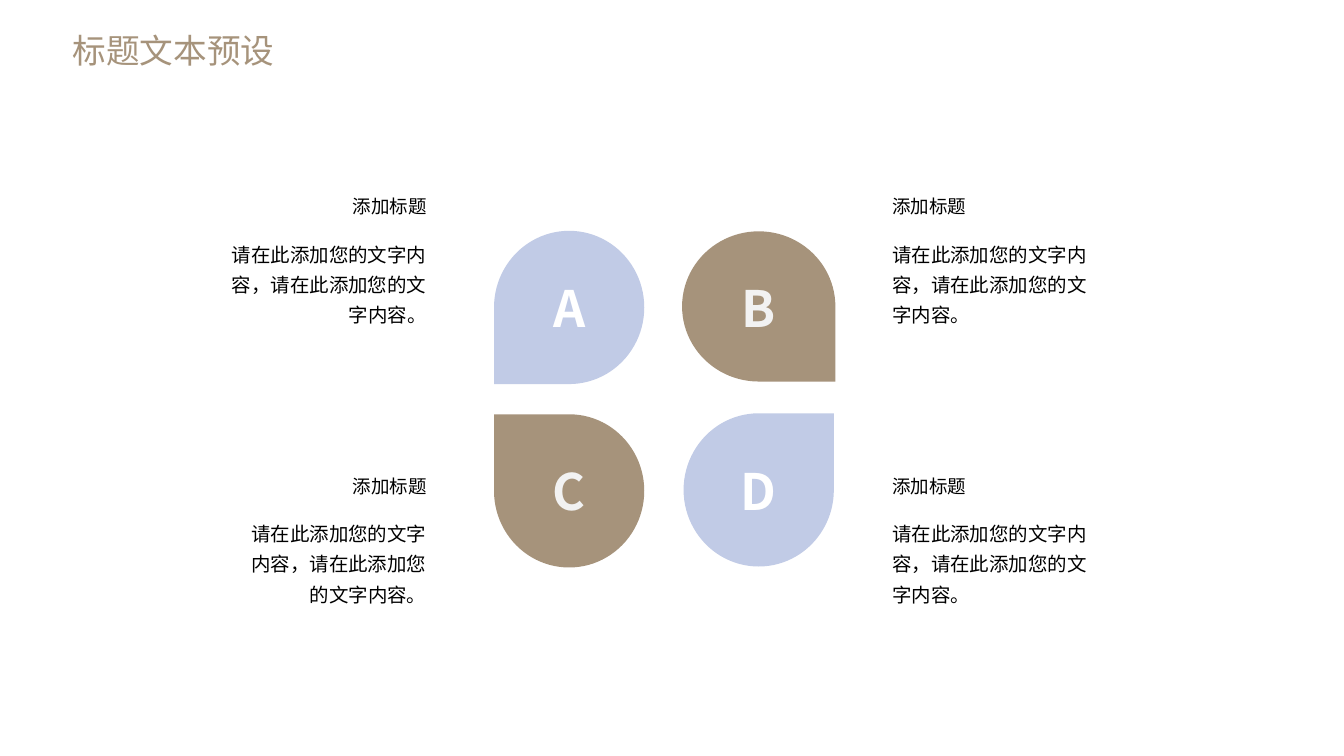
"""Build a slide with four lettered teardrops and a caption beside each."""
from lxml import etree
from pptx import Presentation
from pptx.dml.color import RGBColor
from pptx.enum.shapes import MSO_SHAPE
from pptx.enum.text import MSO_ANCHOR, MSO_AUTO_SIZE, PP_ALIGN
from pptx.oxml.ns import qn
from pptx.util import Inches, Pt

TEARDROP, RECTANGLE = MSO_SHAPE.TEAR, MSO_SHAPE.RECTANGLE
LEFT, CENTER, RIGHT = PP_ALIGN.LEFT, PP_ALIGN.CENTER, PP_ALIGN.RIGHT
TOP = MSO_ANCHOR.TOP
GROW = MSO_AUTO_SIZE.SHAPE_TO_FIT_TEXT

BROWN = RGBColor(0xA6, 0x93, 0x7B)
BLUE = RGBColor(0xC1, 0xCB, 0xE6)
WHITE = RGBColor(0xFF, 0xFF, 0xFF)
PALE = RGBColor(0xF2, 0xF2, 0xF2)
BLACK = RGBColor(0, 0, 0)
FONT = "Noto Sans CJK SC"

DROP_WIDTH, DROP_HEIGHT = 1.49, 1.52
DROP_CORNERS = ((4.9, 2.29), (6.78, 2.28))
DROP_PITCH = 1.82
LETTER_TOP, LETTER_HEIGHT = 2.7, 0.7
CAPTION_EDGES = (4.33, 8.75)
CAPTION_PITCH = 2.77
HEADING_TOP, HEADING_WIDTH, HEADING_HEIGHT = 1.89, 1.2, 0.32
BODY_TOP, BODY_HEIGHT = 2.29, 1.02

HEADING = "添加标题"
BODY = "请在此添加您的文字内容，请在此添加您的文字内容。"

# letter, column, row, fill, letter colour, letter width, turn, flips, body width
PETALS = (
    ("A", 0, 0, BLUE, WHITE, 0.61, 0, ("flipH", "flipV"), 2.19),
    ("B", 1, 0, BROWN, PALE, 0.86, 90, (), 2.17),
    ("C", 0, 1, BROWN, PALE, 0.79, 0, ("flipH",), 2.06),
    ("D", 1, 1, BLUE, WHITE, 0.57, 0, (), 2.29),
)


def add_filled(slide, kind, box, color):
    """Add a flat preset shape without outline."""
    shape = slide.shapes.add_shape(kind, *map(Inches, box))
    shape.shadow.inherit = False
    shape.fill.solid()
    shape.fill.fore_color.rgb = color
    shape.line.fill.background()
    return shape


def add_drop(slide, box, color, turn, flips):
    """Add a teardrop whose point is turned or flipped."""
    drop = add_filled(slide, TEARDROP, box, color)
    drop.rotation = turn
    for flip in flips:
        drop._element.spPr.get_or_add_xfrm().set(flip, "1")


def write(shape, text, size, color, align=LEFT, bold=False, spacing=None):
    """Write one paragraph of styled text into a shape."""
    frame = shape.text_frame
    frame.word_wrap = True
    frame.auto_size = GROW
    frame.vertical_anchor = TOP
    paragraph = frame.paragraphs[0]
    paragraph.alignment = align
    paragraph.line_spacing = spacing
    run = paragraph.add_run()
    run.text = text
    run.font.size = Pt(size)
    run.font.bold = bold
    run.font.color.rgb = color
    run.font.name = FONT
    etree.SubElement(run._r.get_or_add_rPr(), qn("a:ea")).set("typeface", FONT)


def add_text(slide, box, *content, **style):
    """Add a text box holding one paragraph."""
    write(slide.shapes.add_textbox(*map(Inches, box)), *content, **style)


def add_letter(slide, box, letter, color, backing):
    """Add a bold letter, on a backing rectangle where the petal is brown."""
    if backing == BROWN:
        shape = add_filled(slide, RECTANGLE, box, backing)
    else:
        shape = slide.shapes.add_textbox(*map(Inches, box))
    write(shape, letter, 35.8, color, align=CENTER, bold=True)


def add_caption(slide, column, row, body_width):
    """Add a heading and body text aligned towards the petals."""
    align = LEFT if column else RIGHT
    offset = row * CAPTION_PITCH

    def box(top, width, height):
        left = CAPTION_EDGES[column] - (0 if column else width)
        return left, top + offset, width, height

    add_text(slide, box(HEADING_TOP, HEADING_WIDTH, HEADING_HEIGHT),
             HEADING, 13.2, BLACK, align=align)
    add_text(slide, box(BODY_TOP, body_width, BODY_HEIGHT),
             BODY, 13.9, BLACK, align=align, spacing=1.3)


def main():
    """Create the presentation and save it."""
    presentation = Presentation()
    presentation.slide_width = Inches(13.33)
    presentation.slide_height = Inches(7.5)
    slide = presentation.slides.add_slide(presentation.slide_layouts[6])
    add_text(slide, (0.05, 0.25, 2.77, 0.5), "标题文本预设", 24, BROWN, align=RIGHT)
    for letter, column, row, fill, color, width, turn, flips, body_width in PETALS:
        left, top = DROP_CORNERS[column]
        offset = row * DROP_PITCH
        add_drop(slide, (left, top + offset, DROP_WIDTH, DROP_HEIGHT),
                 fill, turn, flips)
        letter_left = left + (DROP_WIDTH - width) / 2
        add_letter(slide, (letter_left, LETTER_TOP + offset, width, LETTER_HEIGHT),
                   letter, color, fill)
        add_caption(slide, column, row, body_width)
    presentation.save("out.pptx")


if __name__ == "__main__":
    main()
